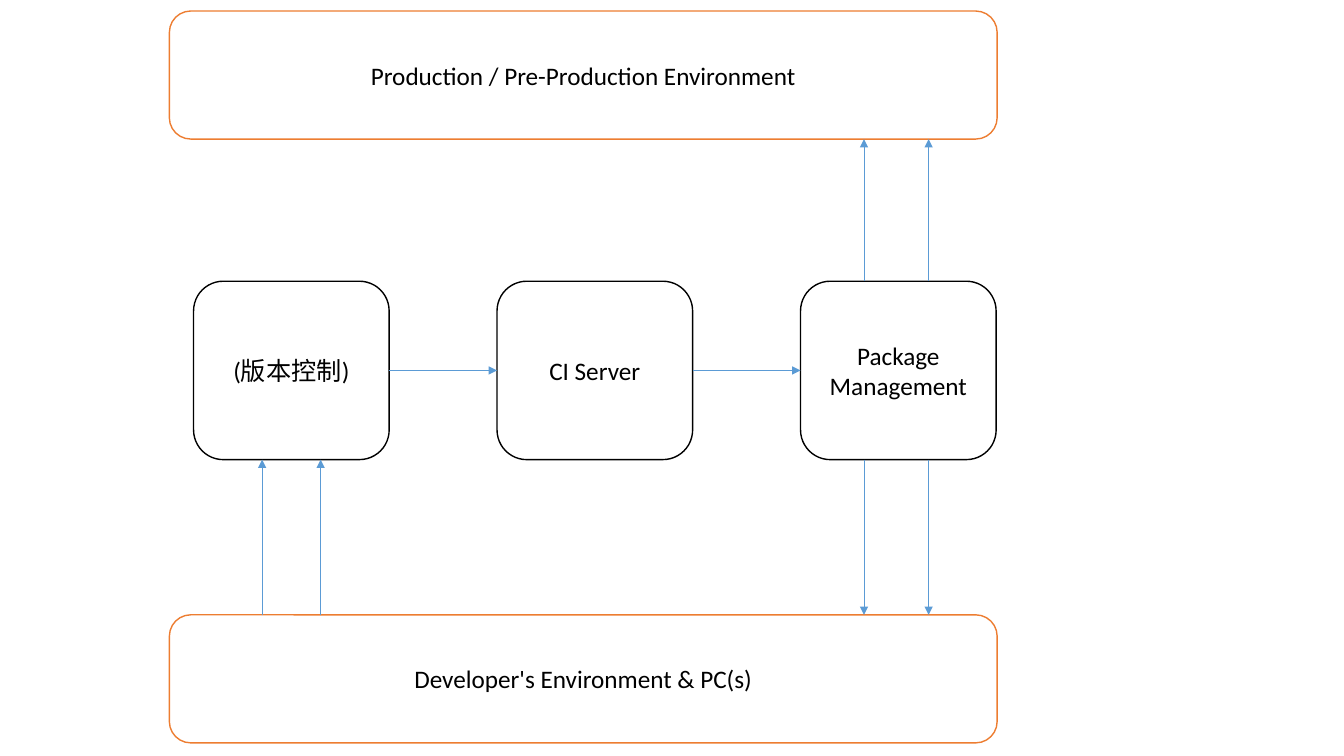
from dataclasses import dataclass

from lxml import etree
from pptx import Presentation
from pptx.dml.color import RGBColor
from pptx.enum.shapes import MSO_CONNECTOR, MSO_SHAPE
from pptx.enum.text import MSO_ANCHOR, PP_ALIGN
from pptx.oxml.ns import qn
from pptx.util import Inches, Pt

ROUNDED = MSO_SHAPE.ROUNDED_RECTANGLE
STRAIGHT = MSO_CONNECTOR.STRAIGHT
CENTER = PP_ALIGN.CENTER
MIDDLE = MSO_ANCHOR.MIDDLE
TOP, LEFT, BOTTOM, RIGHT = range(4)

STAGES = ["(版本控制)", "CI Server", "Package Management"]
PRODUCTION = "Production / Pre-Production Environment"
DEVELOPER = "Developer's Environment & PC(s)"


@dataclass(frozen=True)
class Theme:
    font: str = "Calibri"
    size: float = 18
    text: RGBColor = RGBColor(0, 0, 0)
    fill: RGBColor = RGBColor(255, 255, 255)
    stage: RGBColor = RGBColor(0, 0, 0)
    environment: RGBColor = RGBColor(0xED, 0x7D, 0x31)
    arrow: RGBColor = RGBColor(0x5B, 0x9B, 0xD5)
    border_width: float = 1
    arrow_width: float = 0.5


THEME = Theme()

SLIDE_W, SLIDE_H = 13.33, 7.5
STAGE_X, STAGE_Y, STAGE_W, STAGE_H = 1.92, 2.79, 1.94, 1.77
STAGE_PITCH = 3.01
ENV_X, ENV_W, ENV_H = 1.68, 8.21, 1.27
PRODUCTION_Y, DEVELOPER_Y = 0.11, 6.1
STAGE_BOTTOM = STAGE_Y + STAGE_H
PRODUCTION_BOTTOM = PRODUCTION_Y + ENV_H
COMMIT_XS = (2.6, 3.18)
PACKAGE_XS = (8.57, 9.21)

FLOWS = [
    (COMMIT_XS, DEVELOPER_Y, STAGE_BOTTOM),
    (PACKAGE_XS, STAGE_BOTTOM, DEVELOPER_Y),
    (PACKAGE_XS, STAGE_Y, PRODUCTION_BOTTOM),
]


def add_box(slide, text, x, y, w, h, border):
    sp = slide.shapes.add_shape(ROUNDED, Inches(x), Inches(y), Inches(w), Inches(h))
    sp.shadow.inherit = False
    sp.fill.solid()
    sp.fill.fore_color.rgb = THEME.fill
    sp.line.color.rgb = border
    sp.line.width = Pt(THEME.border_width)
    tf = sp.text_frame
    tf.text = text
    tf.word_wrap = True
    tf.vertical_anchor = MIDDLE
    p = tf.paragraphs[0]
    p.alignment = CENTER
    font = p.runs[0].font
    font.name = THEME.font
    font.size = Pt(THEME.size)
    font.color.rgb = THEME.text
    return sp


def add_arrow(slide, x1, y1, x2, y2):
    line = slide.shapes.add_connector(STRAIGHT, Inches(x1), Inches(y1), Inches(x2), Inches(y2))
    line.line.color.rgb = THEME.arrow
    line.line.width = Pt(THEME.arrow_width)
    etree.SubElement(line.line._get_or_add_ln(), qn("a:tailEnd"), type="triangle")
    etree.SubElement(line._element.spPr, qn("a:effectLst"))
    return line


def main():
    prs = Presentation()
    prs.slide_width, prs.slide_height = Inches(SLIDE_W), Inches(SLIDE_H)
    slide = prs.slides.add_slide(prs.slide_layouts[6])

    stages = [
        add_box(slide, text, STAGE_X + i * STAGE_PITCH, STAGE_Y, STAGE_W, STAGE_H, THEME.stage)
        for i, text in enumerate(STAGES)
    ]
    for source, target in zip(stages, stages[1:]):
        arrow = add_arrow(slide, 0, 0, 1, 0)
        arrow.begin_connect(source, RIGHT)
        arrow.end_connect(target, LEFT)

    for text, y in ((DEVELOPER, DEVELOPER_Y), (PRODUCTION, PRODUCTION_Y)):
        add_box(slide, text, ENV_X, y, ENV_W, ENV_H, THEME.environment)

    for xs, start, end in FLOWS:
        for x in xs:
            add_arrow(slide, x, start, x, end)

    prs.save("out.pptx")


if __name__ == "__main__":
    main()
